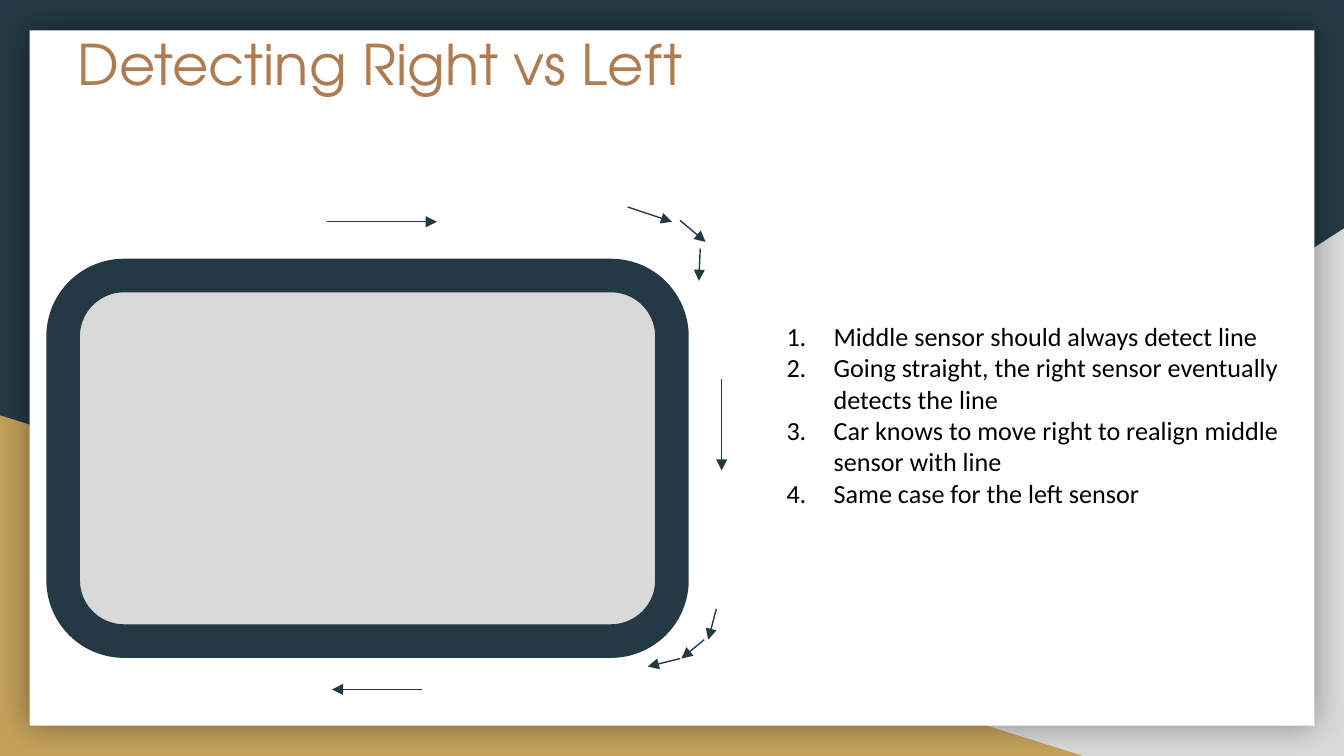
import pptx
import pptx.util
import pptx.dml.color
import pptx.enum.shapes
import pptx.enum.text
import pptx.oxml
import pptx.oxml.ns
from lxml import etree

WIDTH = 10
HEIGHT = WIDTH * 9 / 16
COLUMNS = 100
CELL = WIDTH / COLUMNS
ROWS = HEIGHT / CELL
NAVY, GREY, GOLD, WHITE, BLACK, BRONZE = (
    "233A44", "D9D9D9", "C4A15A", "FFFFFF", "000000", "AF7B51")
TITLE_FONT = {"name": "TeX Gyre Adventor", "size": pptx.util.Pt(30), "bold": False}
LIST_FONT = {"name": "Calibri", "size": pptx.util.Pt(14)}
STEPS = [
    "Middle sensor should always detect line",
    "Going straight, the right sensor eventually detects the line",
    "Car knows to move right to realign middle sensor with line",
    "Same case for the left sensor",
]
TRAVEL_ARROWS = [
    (24.3, 16.5, 32.5, 16.5),
    (46.7, 15.4, 50, 16.5),
    (50.6, 16.4, 52.5, 18),
    (52.1, 18.5, 52, 20.9),
    (31.4, 51.3, 24.7, 51.3),
    (52.4, 47.6, 50.7, 49),
    (53.3, 45.3, 52.7, 47.6),
    (50.6, 49, 48.2, 49.6),
    (53.7, 28.2, 53.7, 35),
]


def rgb(value):
    return pptx.dml.color.RGBColor.from_string(value)


def cells(*counts):
    return [pptx.util.Inches(n * CELL) for n in counts]


def add_child(parent, tag, **attributes):
    return etree.SubElement(parent, pptx.oxml.ns.qn(tag), attributes)


def set_font(font, values, color):
    for name, value in values.items():
        setattr(font, name, value)
    font.color.rgb = rgb(color)


def set_frame(tf):
    inset = pptx.util.Inches(0.1)
    values = {
        "word_wrap": True,
        "auto_size": pptx.enum.text.MSO_AUTO_SIZE.NONE,
        "vertical_anchor": pptx.enum.text.MSO_ANCHOR.TOP,
        "margin_left": inset, "margin_right": inset,
        "margin_top": inset, "margin_bottom": inset,
    }
    for name, value in values.items():
        setattr(tf, name, value)


def add_block(s, kind, box, fill, border=None):
    sp = s.shapes.add_shape(
        getattr(pptx.enum.shapes.MSO_SHAPE, kind), *cells(*box))
    sp.shadow.inherit = False
    sp.fill.solid()
    sp.fill.fore_color.rgb = rgb(fill)
    if border:
        sp.line.color.rgb = rgb(border)
        sp.line.width = pptx.util.Pt(18)
    else:
        sp.line.fill.background()
    return sp


def add_glow(sp):
    effects = sp._element.spPr.find(pptx.oxml.ns.qn("a:effectLst"))
    shadow = add_child(effects, "a:outerShdw", blurRad=str(pptx.util.Pt(18)),
                       dist="0", dir="0", algn="ctr", rotWithShape="0")
    color = add_child(shadow, "a:srgbClr", val=BLACK)
    add_child(color, "a:alpha", val="40000")


def add_backdrop(s):
    s.background.fill.solid()
    s.background.fill.fore_color.rgb = rgb(NAVY)
    corner = add_block(
        s, "RIGHT_TRIANGLE", (39.2, 17, COLUMNS - 39.2, ROWS - 17), GREY)
    corner._element.spPr.find(pptx.oxml.ns.qn("a:xfrm")).set("flipH", "1")
    add_block(s, "RIGHT_TRIANGLE", (0, 30.9, 80.6, ROWS - 30.9), GOLD)
    add_glow(add_block(s, "RECTANGLE", (2.2, 2.25, 95.6, 51.75), WHITE))


def add_title(s, text, box):
    sp = s.shapes.title
    sp.left, sp.top, sp.width, sp.height = cells(*box)
    s.shapes._spTree.append(sp._element)
    set_frame(sp.text_frame)
    p = sp.text_frame.paragraphs[0]
    p.alignment = pptx.enum.text.PP_ALIGN.LEFT
    r = p.add_run()
    r.text = text
    set_font(r.font, TITLE_FONT, BRONZE)


def add_numbered_list(s, items, box):
    tf = s.shapes.add_textbox(*cells(*box)).text_frame
    set_frame(tf)
    for i, item in enumerate(items):
        p = tf.paragraphs[0] if i == 0 else tf.add_paragraph()
        pPr = p._p.get_or_add_pPr()
        pPr.set("marL", str(pptx.util.Inches(0.5)))
        pPr.set("indent", str(pptx.util.Inches(-0.35)))
        color = add_child(pPr, "a:buClr")
        add_child(color, "a:srgbClr", val=BLACK)
        add_child(pPr, "a:buFont", typeface="Calibri")
        add_child(pPr, "a:buAutoNum", type="arabicPeriod")
        r = p.add_run()
        r.text = item
        set_font(p.font, LIST_FONT, BLACK)
        set_font(r.font, LIST_FONT, BLACK)


def add_arrow(s, ends):
    line = s.shapes.add_connector(
        pptx.enum.shapes.MSO_CONNECTOR.STRAIGHT, *cells(*ends))
    line.line.color.rgb = rgb(NAVY)
    line.line.width = pptx.util.Pt(0.75)
    add_child(line.line._get_or_add_ln(), "a:tailEnd", type="triangle")
    add_child(line._element.spPr, "a:effectLst")


def main():
    prs = pptx.Presentation()
    prs.slide_width = pptx.util.Inches(WIDTH)
    prs.slide_height = pptx.util.Inches(HEIGHT)
    s = prs.slides.add_slide(prs.slide_layouts[5])
    add_backdrop(s)
    add_title(s, "Detecting Right vs Left", (4.8, 1.2, 82.1, 10.4))
    add_block(s, "FLOWCHART_ALTERNATE_PROCESS", (4.7, 20.5, 45.3, 27.2), GREY, NAVY)
    add_numbered_list(s, STEPS, (56.04, 22.84, 40.7, 24.7))
    for ends in TRAVEL_ARROWS:
        add_arrow(s, ends)
    prs.save("out.pptx")


if __name__ == "__main__":
    main()
